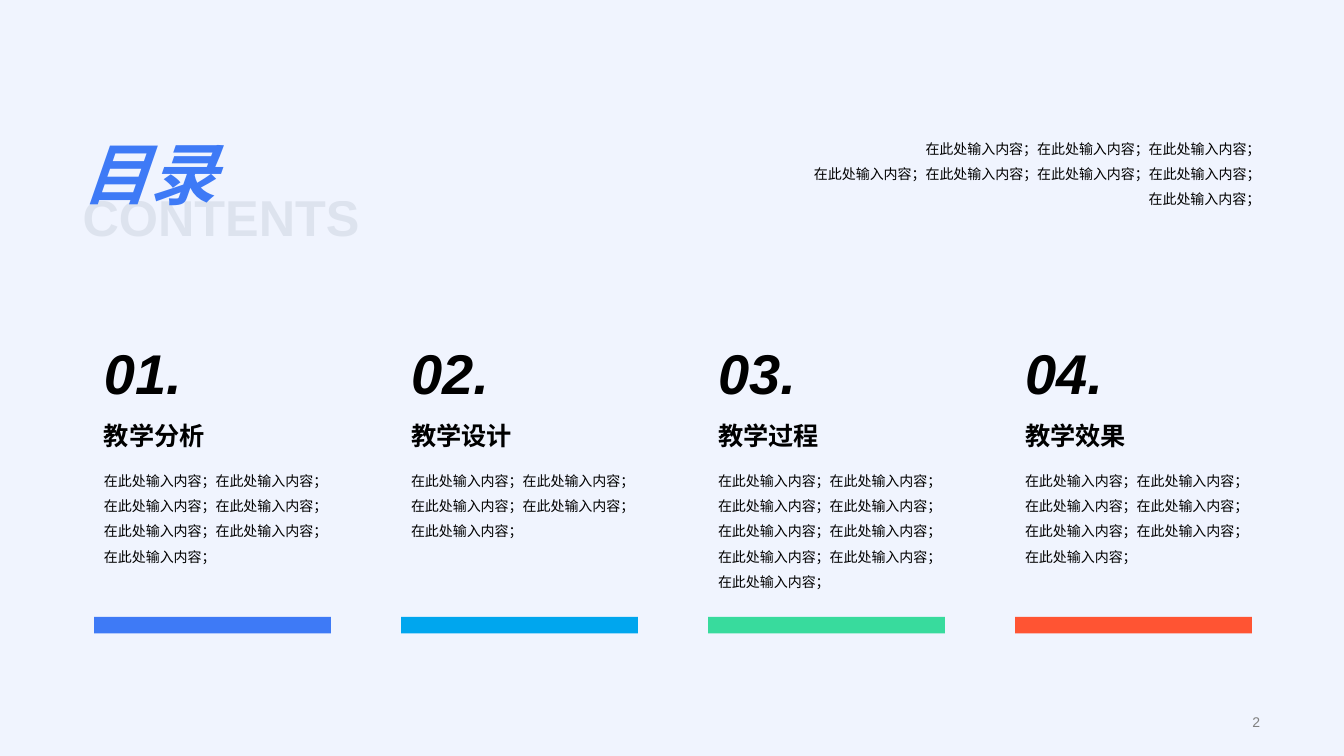
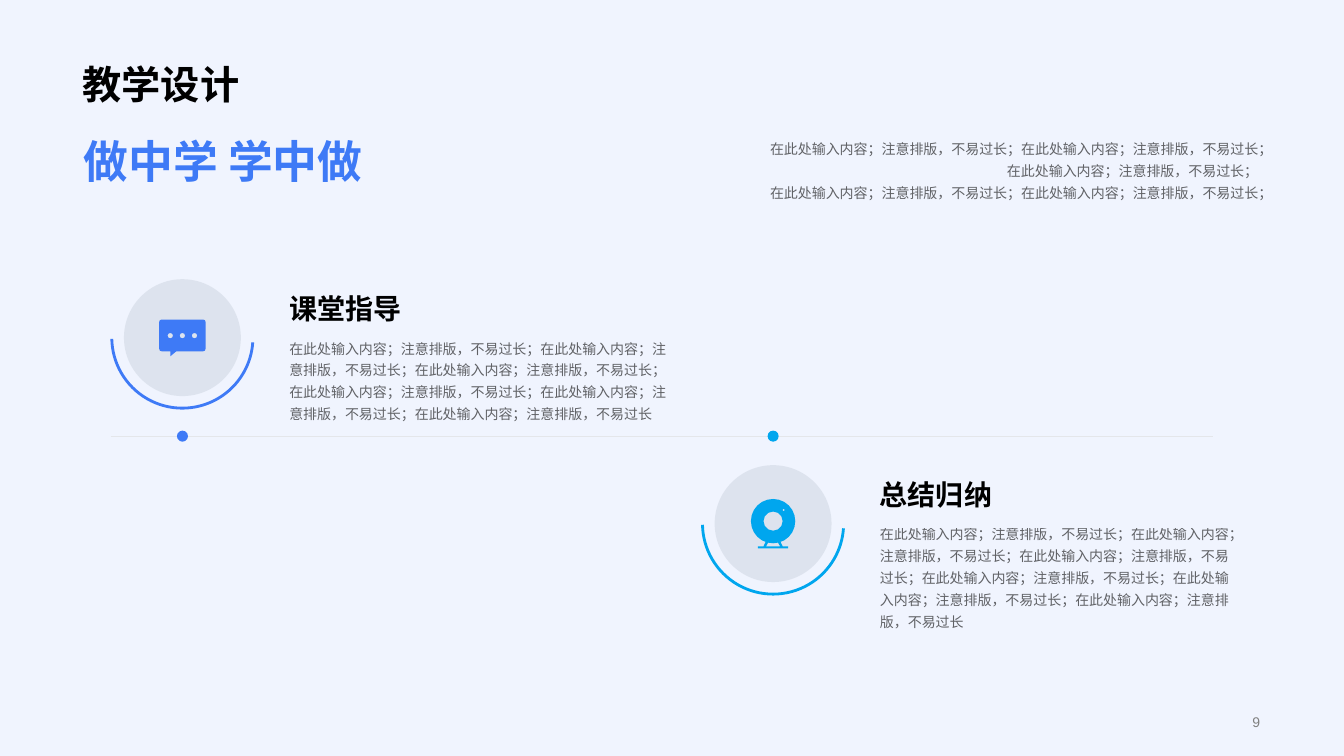
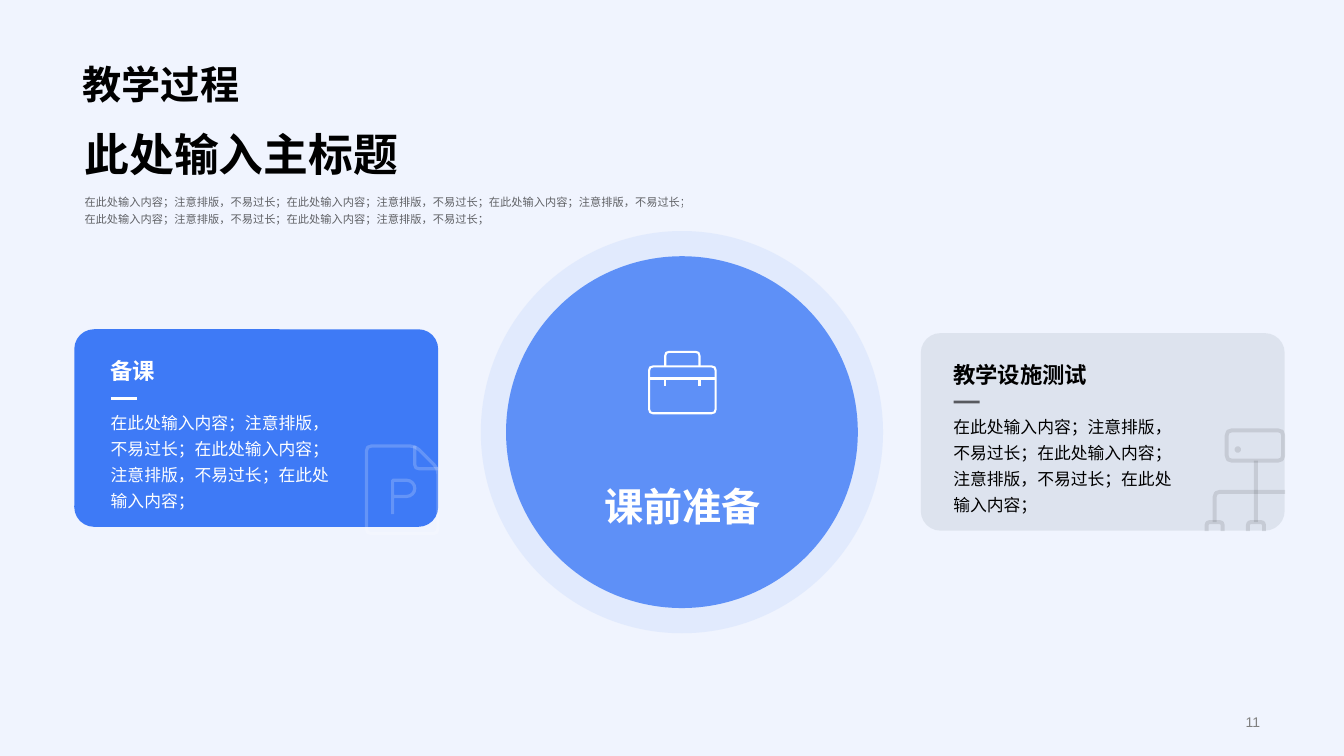
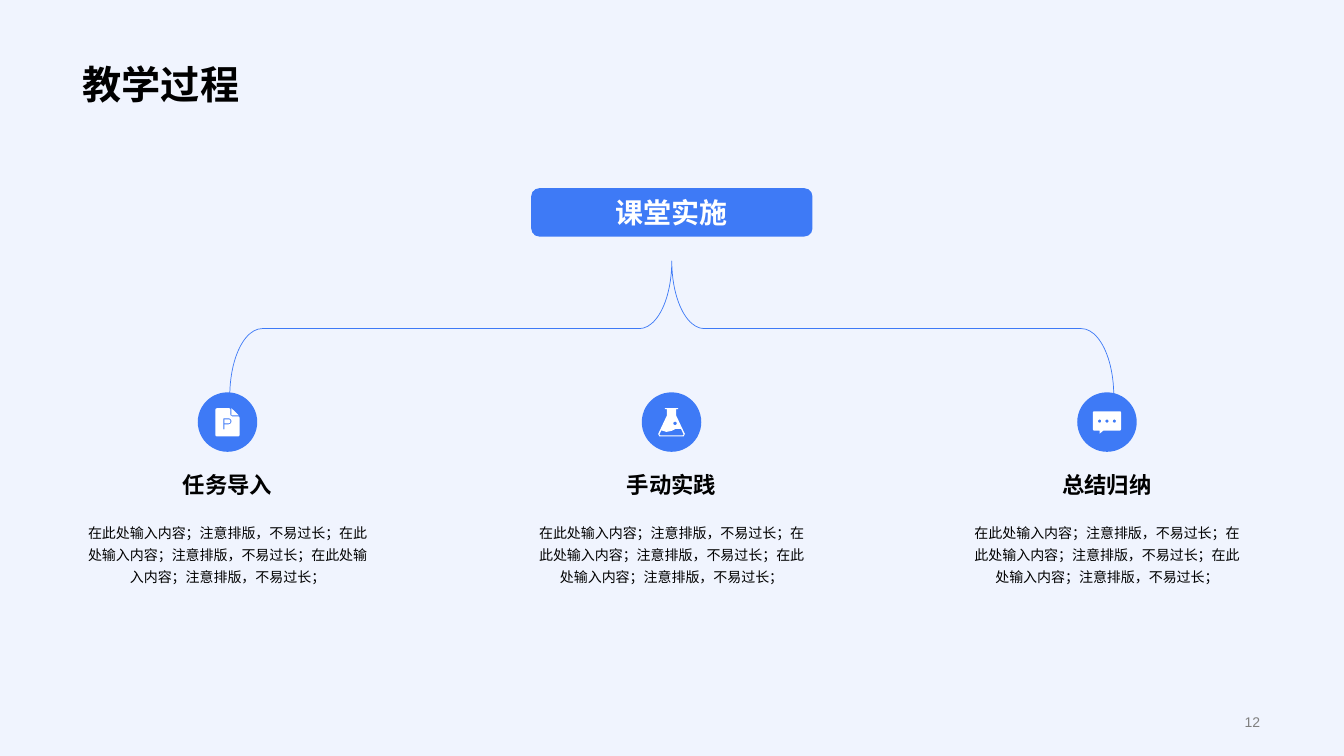
"""Builds four lesson-plan slides: contents, design, preparation and practice."""
from math import cos, dist, pi, sin

from lxml.etree import SubElement
from pptx import Presentation
from pptx.dml.color import RGBColor
from pptx.enum.lang import MSO_LANGUAGE_ID
from pptx.enum.shapes import MSO_CONNECTOR, MSO_SHAPE
from pptx.enum.text import MSO_ANCHOR, MSO_AUTO_SIZE, PP_ALIGN
from pptx.oxml.ns import qn
from pptx.util import Inches, Pt

LEFT, CENTER, RIGHT = PP_ALIGN.LEFT, PP_ALIGN.CENTER, PP_ALIGN.RIGHT
TOP, MIDDLE, BOTTOM = MSO_ANCHOR.TOP, MSO_ANCHOR.MIDDLE, MSO_ANCHOR.BOTTOM
GROW, FIXED = MSO_AUTO_SIZE.SHAPE_TO_FIT_TEXT, MSO_AUTO_SIZE.NONE
RECTANGLE, ROUNDED = MSO_SHAPE.RECTANGLE, MSO_SHAPE.ROUNDED_RECTANGLE
OVAL, ARC, BRACE = MSO_SHAPE.OVAL, MSO_SHAPE.ARC, MSO_SHAPE.RIGHT_BRACE
STRAIGHT = MSO_CONNECTOR.STRAIGHT
CHINESE = MSO_LANGUAGE_ID.SIMPLIFIED_CHINESE
TITLE_ONLY, BLANK = 5, 6

COLORS = {
    "back": "F0F4FE", "blue": "3E7AF6", "sky": "00A6EE", "green": "38DB9D",
    "red": "FF5433", "slate": "778495", "halo": "D8E4FD", "rule": "E4E6EA",
    "number": "808080", "black": "000000", "white": "FFFFFF",
}
FONT = "Arial"
ROWS = 75
PHRASE = "在此处输入内容；"
NOTE = PHRASE + "注意排版，不易过长；"


def circle(x, y, radius, start=0, end=360, steps=8):
    angles = [(start + (end - start) * step / steps) * pi / 180 for step in range(steps + 1)]
    return [(x + radius * cos(angle), y + radius * sin(angle)) for angle in angles]


def rounded(points, radius, closed=True):
    def toward(corner, other):
        share = radius / dist(corner, other)
        return tuple(a + (b - a) * share for a, b in zip(corner, other))

    smooth = []
    neighbours = zip(points[-1:] + points[:-1], points, points[1:] + points[:1])
    for before, corner, after in neighbours:
        start, end = toward(corner, before), toward(corner, after)
        middle = tuple((a + 2 * b + c) / 4 for a, b, c in zip(start, corner, end))
        smooth += [start, middle, end]
    if closed:
        return smooth + smooth[:1]
    return points[:1] + smooth[3:-3] + points[-1:]


def rectangle(left, top, right, bottom):
    return [(left, top), (right, top), (right, bottom), (left, bottom)]


def mirror(points):
    return [(-x, y) for x, y in points]


BUBBLE = [rounded([(-2.3, -1.8), (2.3, -1.8), (2.3, 1.35), (-2.3, 1.35)], 0.25),
          [(-0.6, 1.35), (-1.2, 1.85), (-1.2, 1.35)],
          *[circle(x, -0.2, 0.27) for x in (-1.2, 0, 1.2)]]
LEG = [(-0.75, 2.07), (-0.5, 2.15), (-0.7, 2.5), (-0.95, 2.5)]
WEBCAM = [circle(0, 0, 2.2, steps=24), circle(0, 0, 0.95, steps=12),
          circle(1.05, -1.1, 0.12, steps=4), LEG, mirror(LEG),
          rectangle(-1.5, 2.5, 1.5, 2.7)]
PAGE_OUTLINE = [
    rounded([(-3.55, -4.35), (1.3, -4.35), (3.55, -2.1), (3.55, 4.35), (-3.55, 4.35)], 0.5),
    rounded([(1.25, -4.35), (1.25, -2.1), (3.55, -2.1)], 0.4, closed=False),
    [(-0.95, 2.4), (-0.95, -0.95), *circle(0.45, -0.15, 0.8, -90, 90), (-0.95, 0.65)]]
PAGE = [rounded([(-1.2, -1.4), (0.3, -1.4), (0.3, -0.6), (1.2, -0.6), (1.2, 1.4), (-1.2, 1.4)], 0.15),
        [(0.4, -1.4), (1.1, -0.7), (0.4, -0.7)],
        [(-0.4, 0.7), (-0.4, -0.4), *circle(0.1, -0.1, 0.3, -90, 90), (-0.3, 0.2), (-0.3, 0.7)],
        [(-0.3, -0.3), *circle(0.1, -0.1, 0.2, -90, 90), (-0.3, 0.1)]]
FLASK_SIDE = [(0.65, -1.4), (0.65, -1.3), (0.45, -1.3), (0.45, -0.7), (1.32, 1.15), (1.2, 1.4)]
FLASK = [FLASK_SIDE + mirror(FLASK_SIDE)[::-1],
         [(-1, 0.8), (-0.5, 0.95), (0, 0.85), (0.4, 0.65), (0.95, 0.65),
          (1.2, 1.2), (1.1, 1.3), (-1.1, 1.3), (-1.2, 1.2)],
         circle(0.35, 0.1, 0.18)]
CASE = [rounded(rectangle(-3.3, -1.6, 3.3, 3.05), 0.4),
        rounded([(-1.7, -1.6), (-1.7, -3.05), (1.7, -3.05), (1.7, -1.6)], 0.4, closed=False),
        [(-3.3, -0.4), (3.3, -0.4)],
        *[[(x, -0.4), (x, 0.35)] for x in (-1.7, 1.7)]]
SERVER = [rounded(rectangle(-1.8, -4.9, 3.8, -1.9), 0.5), circle(-0.7, -3, 0.13),
          [(1.1, -1.9), (1.1, 4.2)],
          rounded([(4, 1.2), (-3, 1.2), (-3, 4.2)], 0.5, closed=False),
          *[rounded([(x, 5.1), (x, 4.2), (x + 1.6, 4.2), (x + 1.6, 5.1)], 0.3, closed=False)
            for x in (-3.8, 0.3)]]


def write(frame, text, size=10, color="black", bold=False, italic=False,
          align=LEFT, spacing=1.0, anchor=TOP, inset=None, fit=GROW):
    frame.word_wrap, frame.auto_size, frame.vertical_anchor = True, fit, anchor
    if inset:
        frame.margin_left = frame.margin_right = Inches(inset)
        frame.margin_top = frame.margin_bottom = Inches(inset)
    for index, line in enumerate(text.split("\n")):
        para = frame.add_paragraph() if index else frame.paragraphs[0]
        para.alignment, para.line_spacing = align, spacing
        span = para.add_run()
        span.text = line
        font = span.font
        font.name, font.size, font.bold, font.italic = FONT, Pt(size), bold, italic
        font.language_id = CHINESE
        font.color.rgb = RGBColor.from_string(COLORS[color])


def fade(item, percent):
    if percent < 100:
        for color in item.element.iter(qn("a:srgbClr")):
            SubElement(color, qn("a:alpha"), val=str(percent * 1000))


class Deck:
    """Holds the style, the 75-row grid of square cells and the current page."""

    def __init__(self):
        self.file = Presentation()
        self.file.slide_height = Inches(7.5)
        self.file.slide_width = self.file.slide_height * 16 // 9
        self.cell = self.file.slide_height / ROWS
        fill = self.file.slide_master.background.fill
        fill.solid()
        fill.fore_color.rgb = RGBColor.from_string(COLORS["back"])

    def grid(self, *cells):
        return [round(count * self.cell) for count in cells]

    def start(self, number, title=None):
        layout = self.file.slide_layouts[TITLE_ONLY if title else BLANK]
        self.page = self.file.slides.add_slide(layout)
        if title:
            box = self.page.shapes.title
            box.left, box.top, box.width, box.height = self.grid(7.2, 0, 118.8, 11.2)
            write(box.text_frame, title, size=28, bold=True, spacing=0.9, anchor=BOTTOM,
                  fit=FIXED)
        self.text(number, 96.9, 70.4, 29.1, 2.4, color="number", align=RIGHT,
                  anchor=MIDDLE, fit=FIXED)

    def text(self, text, left, top, width, height, alpha=100, **style):
        box = self.page.shapes.add_textbox(*self.grid(left, top, width, height))
        write(box.text_frame, text, **style)
        fade(box, alpha)

    def paint(self, shape, color, stroke, alpha):
        shape.shadow.inherit = False
        if stroke:
            shape.fill.background()
            shape.line.width = Pt(stroke)
            shape.line.color.rgb = RGBColor.from_string(COLORS[color])
        else:
            shape.line.fill.background()
            shape.fill.solid()
            shape.fill.fore_color.rgb = RGBColor.from_string(COLORS[color])
        fade(shape, alpha)
        return shape

    def shape(self, kind, left, top, width, height, color, stroke=0, alpha=100, adjust=()):
        shape = self.page.shapes.add_shape(kind, *self.grid(left, top, width, height))
        for index, value in enumerate(adjust):
            shape.adjustments[index] = value
        return self.paint(shape, color, stroke, alpha)

    def disc(self, x, y, size, color, alpha=100):
        return self.shape(OVAL, x - size / 2, y - size / 2, size, size, color, alpha=alpha)

    def icon(self, contours, x, y, color, scale=1, stroke=0, alpha=100):
        placed = [[self.grid(x + a * scale, y + b * scale) for a, b in points]
                  for points in contours]
        builder = self.page.shapes.build_freeform(*placed[0][0])
        for index, points in enumerate(placed):
            if index:
                builder.move_to(*points[0])
            builder.add_line_segments(points[1:], close=not stroke)
        return self.paint(builder.convert_to_shape(), color, stroke, alpha)

    def rule(self, left, right, y, color, width, alpha=100):
        line = self.page.shapes.add_connector(STRAIGHT, *self.grid(left, y, right, y))
        line.line.width = Pt(width)
        line.line.color.rgb = RGBColor.from_string(COLORS[color])
        SubElement(line.element.find(qn("p:spPr")), qn("a:effectLst"))
        fade(line, alpha)


def contents(deck):
    deck.start("2")
    deck.text("CONTENTS", 7.2, 17.95, 29.8, 7.1, size=36, color="slate", bold=True, alpha=15)
    chapters = [("教学分析", "blue", (2, 4, 1)), ("教学设计", "sky", (2, 3)),
                ("教学过程", "green", (2, 4, 2, 1)), ("教学效果", "red", (2, 4, 1))]
    for index, (name, color, counts) in enumerate(chapters):
        left, width = 9.33 + index * 30.46, 23.5
        deck.text("\n".join(PHRASE * count for count in counts), left, 45.54, width,
                  3.3 + 2.5 * sum((count + 1) // 2 - 1 for count in counts) + 2.5 * len(counts) - 2.5,
                  spacing=1.5)
        deck.text(name, left, 41.2, width, 4, size=18, bold=True)
        deck.text(f"{index + 1:02}.", left, 33.1, width, 7.7, size=40, bold=True, italic=True)
        deck.shape(RECTANGLE, left, 61.2, width, 1.65, color)
    deck.text("目录", 7.2, 12.6, 45.2, 9.1, size=48, color="blue", bold=True, italic=True,
              anchor=MIDDLE)
    deck.text("\n".join(PHRASE * count for count in (3, 4, 1)), 71.1, 12.6, 54.9, 8.3,
              align=RIGHT, spacing=1.5)


def design(deck):
    deck.start("9", "教学设计")
    deck.rule(11, 120.3, 43.3, "rule", 0.75)
    soft = dict(spacing=1.3, inset=0.12, alpha=60)
    deck.text(NOTE * 3 + "\n" + NOTE * 2, 74.5, 12.43, 51.5, 8.7, align=RIGHT,
              anchor=BOTTOM, **soft)
    steps = [("课堂指导", 11.1, 26.5, 41, 10.9, "blue", BUBBLE, 33.5),
             ("总结归纳", 69.7, 44.95, 38, 13.1, "sky", WEBCAM, 51.7)]
    for name, left, top, width, height, color, icon, icon_y in steps:
        x, y = left + 7, top + 7
        deck.text(name, left + 16.4, top + 1.2, width, 5.8, size=20, bold=True,
                  anchor=BOTTOM, inset=0.12)
        deck.text((NOTE * 6)[:-1], left + 16.4, top + 5.53, width, height, **soft)
        deck.shape(ARC, left, top, 14, 14, color, stroke=2, adjust=(2.32, 107.41))
        deck.disc(x, y, 11.6, "slate", alpha=15)
        deck.disc(x, 43.27, 1.1, color)
        deck.icon(icon, x, icon_y, color)
    deck.text("做中学 学中做", 7.3, 12.73, 61.2, 6.4, size=32, color="blue", bold=True,
              anchor=MIDDLE)


def preparation(deck):
    deck.start("11", "教学过程")
    cards = [("备课", 7.37, 32.67, 10, "blue", 100, "white", 100, PAGE_OUTLINE, 39.9, 48.6, 2.3, 20),
             ("教学设施测试", 91.35, 33.05, 93.6, "slate", 15, "black", 60, SERVER, 123.5, 47.6, 2.8, 10)]
    for (name, left, top, inner, color, alpha, ink, rule_alpha,
         icon, icon_x, icon_y, stroke, icon_alpha) in cards:
        deck.shape(ROUNDED, left, top, 36.1, 19.6, color, alpha=alpha, adjust=(0.1,))
        deck.icon(icon, icon_x, icon_y, ink, stroke=stroke, alpha=icon_alpha)
        deck.text(name, inner, top + 2.23, 19.3, 3.7, size=16, color=ink, bold=True,
                  anchor=BOTTOM)
        deck.text(NOTE * 2 + PHRASE, inner, top + 7.17, 24.2, 11.3, size=12, color=ink,
                  spacing=1.3)
        deck.rule(inner + 1, inner + 3.6, top + 6.83, ink, 2, alpha=rule_alpha)
    deck.disc(67.65, 42.87, 39.9, "halo", alpha=60)
    deck.disc(67.65, 42.87, 34.9, "blue", alpha=80)
    deck.text("课前准备", 52.7, 47.3, 30, 5.7, size=28, color="white", bold=True,
              align=CENTER, anchor=BOTTOM)
    deck.icon(CASE, 67.7, 37.95, "white", stroke=1.5)
    deck.text(NOTE * 3 + "\n" + NOTE * 2, 7.4, 18.45, 65.1, 4.3, size=8, spacing=1.3, alpha=60)
    deck.text("此处输入主标题", 7.4, 12, 65.1, 6.4, size=32, bold=True, anchor=BOTTOM)


def practice(deck):
    deck.start("12", "教学过程")
    banner = deck.shape(ROUNDED, 52.7, 18.67, 27.9, 4.8, "blue")
    write(banner.text_frame, "课堂实施", size=20, color="white", bold=True, align=CENTER,
          anchor=MIDDLE)
    brace = deck.shape(BRACE, 59.95, -11.25, 13.4, 87.7, "blue", stroke=0.5, adjust=(0.24, 0.5))
    brace.rotation = 270
    steps = [("任务导入", 22.57, 31.4, PAGE, 1), ("手动实践", 66.62, 29.7, FLASK, 1),
             ("总结归纳", 109.82, 29.7, BUBBLE, 0.61)]
    for name, x, width, icon, scale in steps:
        left = x - width / 2
        deck.text(name, left, 45.7, width, 4.7, size=16, bold=True, align=CENTER,
                  anchor=BOTTOM, inset=0.1)
        deck.text(NOTE * 3, left, 50.35, width, 8.7, align=CENTER, spacing=1.3, inset=0.12)
        deck.disc(x, 41.87, 5.9, "blue")
        deck.icon(icon, x, 41.9, "white", scale=scale)


def main():
    deck = Deck()
    for build in (contents, design, preparation, practice):
        build(deck)
    deck.file.save("out.pptx")


if __name__ == "__main__":
    main()
